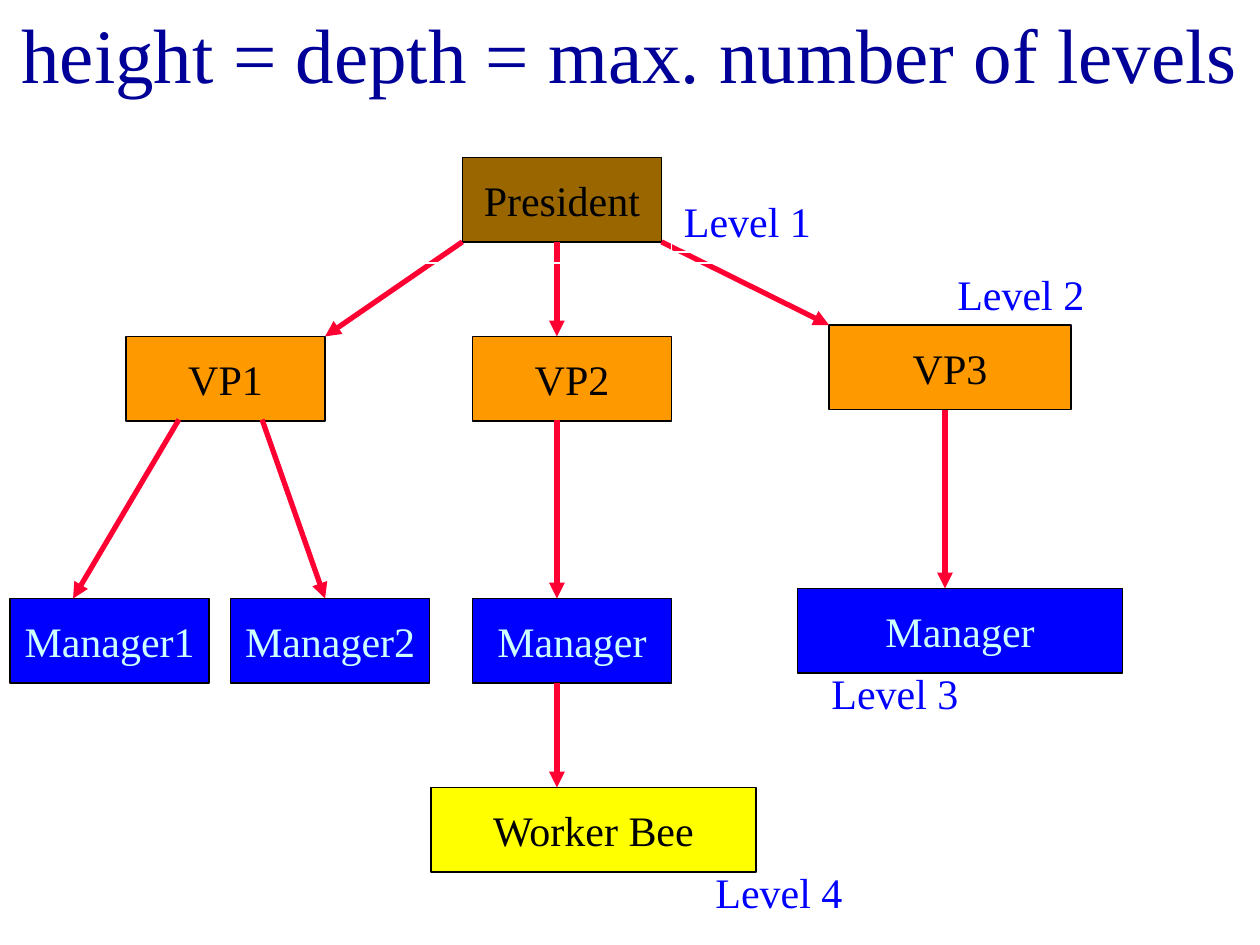
import pptx
import pptx.util
import pptx.dml.color
import pptx.enum.shapes
import pptx.enum.text
import pptx.oxml
import pptx.oxml.ns

Inches = pptx.util.Inches
Pt = pptx.util.Pt
Anchor = pptx.enum.text.MSO_ANCHOR
Align = pptx.enum.text.PP_ALIGN
Fit = pptx.enum.text.MSO_AUTO_SIZE

FONT = "Times New Roman"
BLACK, WHITE, BLUE, PALE = "000000", "FFFFFF", "0000FF", "CCFFFF"
BROWN, ORANGE, YELLOW = "996600", "FF9900", "FFFF00"
NAVY, RED = "000099", "FF0033"
WIDE, HIGH = 1.58, 0.67  # usual node size

# Level frames and their labels, back to front
BACK = [
    ("Level 4", (5.58, 6.83, 3.75, 0.5), (1.08, 6, 8, 1.42)),
    ("Level 3", (6.5, 5.25, 3.25, 0.5), (0, 4.33, 9.75, 1.42)),
    ("Level 2", (7.5, 2.08, 2.5, 0.5), (0.42, 2.17, 9.33, 1.42)),
]
FRONT = ("Level 1", (5.33, 1.5, 1.25, 0.5), (2.67, 0.92, 4, 1.17))

# Text, left, top, width, fill, text colour
NODES = [
    ("President", 3.67, 1.25, WIDE, BROWN, BLACK),
    ("VP1", 1, 2.67, WIDE, ORANGE, BLACK),
    ("VP2", 3.75, 2.67, WIDE, ORANGE, BLACK),
    ("VP3", 6.58, 2.58, 1.92, ORANGE, BLACK),
    ("Manager1", 0.08, 4.75, WIDE, BLUE, PALE),
    ("Manager2", 1.83, 4.75, WIDE, BLUE, PALE),
    ("Manager", 3.75, 4.75, WIDE, BLUE, PALE),
    ("Manager", 6.33, 4.67, 2.58, BLUE, PALE),
    ("Worker Bee", 3.42, 6.25, 2.58, YELLOW, BLACK),
]

# Start x, y, end x, y
ARROWS = [
    (4.42, 1.92, 4.42, 2.67),
    (3.67, 1.92, 2.58, 2.67),
    (5.25, 1.92, 6.58, 2.58),
    (1.42, 3.33, 0.58, 4.75),
    (2.08, 3.33, 2.58, 4.75),
    (4.42, 3.33, 4.42, 4.75),
    (7.5, 3.25, 7.5, 4.67),
    (4.42, 5.42, 4.42, 6.25),
]


def color(code):
    return pptx.dml.color.RGBColor.from_string(code)


def write(shape, text, size, code, align, **form):
    frame = shape.text_frame
    for name, value in form.items():
        setattr(frame, name, value)
    para = frame.paragraphs[0]
    para.text = text
    para.alignment = align
    font = para.runs[0].font
    for name, value in {"name": FONT, "size": Pt(size)}.items():
        setattr(font, name, value)
    font.color.rgb = color(code)


def add_rect(slide, place, line, fill=None):
    kind = pptx.enum.shapes.MSO_SHAPE.RECTANGLE
    rect = slide.shapes.add_shape(kind, *map(Inches, place))
    rect.shadow.inherit = False
    if fill:
        rect.fill.solid()
        rect.fill.fore_color.rgb = color(fill)
    else:
        rect.fill.background()
    rect.line.color.rgb = color(line)
    rect.line.width = Pt(1)
    return rect


def add_level(slide, text, place, frame):
    label = add_rect(slide, place, WHITE)
    write(label, text, 24, BLUE, Align.LEFT, vertical_anchor=Anchor.TOP,
          word_wrap=True, auto_size=Fit.SHAPE_TO_FIT_TEXT)
    add_rect(slide, frame, WHITE)


def add_node(slide, text, left, top, width, fill, ink):
    node = add_rect(slide, (left, top, width, HIGH), BLACK, fill)
    write(node, text, 24, ink, Align.CENTER, vertical_anchor=Anchor.MIDDLE,
          word_wrap=False)


def add_arrow(slide, ends):
    kind = pptx.enum.shapes.MSO_CONNECTOR.STRAIGHT
    arrow = slide.shapes.add_connector(kind, *map(Inches, ends))
    arrow.line.color.rgb = color(RED)
    arrow.line.width = Pt(3)
    make, tag = pptx.oxml.xmlchemy.OxmlElement, "a:tailEnd"
    tip = make(tag)
    tip.set("type", "triangle")
    arrow.line._get_or_add_ln().append(tip)
    arrow._element.spPr.append(make("a:effectLst"))


def add_title(slide, text):
    box = slide.shapes.add_textbox(*map(Inches, (0, 0, 10, 0.83)))
    write(box, text, 44, NAVY, Align.CENTER, vertical_anchor=Anchor.MIDDLE,
          word_wrap=True)


def main():
    deck = pptx.Presentation()
    deck.slide_width, deck.slide_height = Inches(10), Inches(7.5)
    slide = deck.slides.add_slide(deck.slide_layouts[6])

    add_title(slide, "height = depth = max. number of levels")
    # Lower levels lie behind the tree
    for level in BACK:
        add_level(slide, *level)
    # Tree
    for node in NODES:
        add_node(slide, *node)
    for ends in ARROWS:
        add_arrow(slide, ends)
    # The top level lies over the arrows
    add_level(slide, *FRONT)

    deck.save("out.pptx")


if __name__ == "__main__":
    main()
